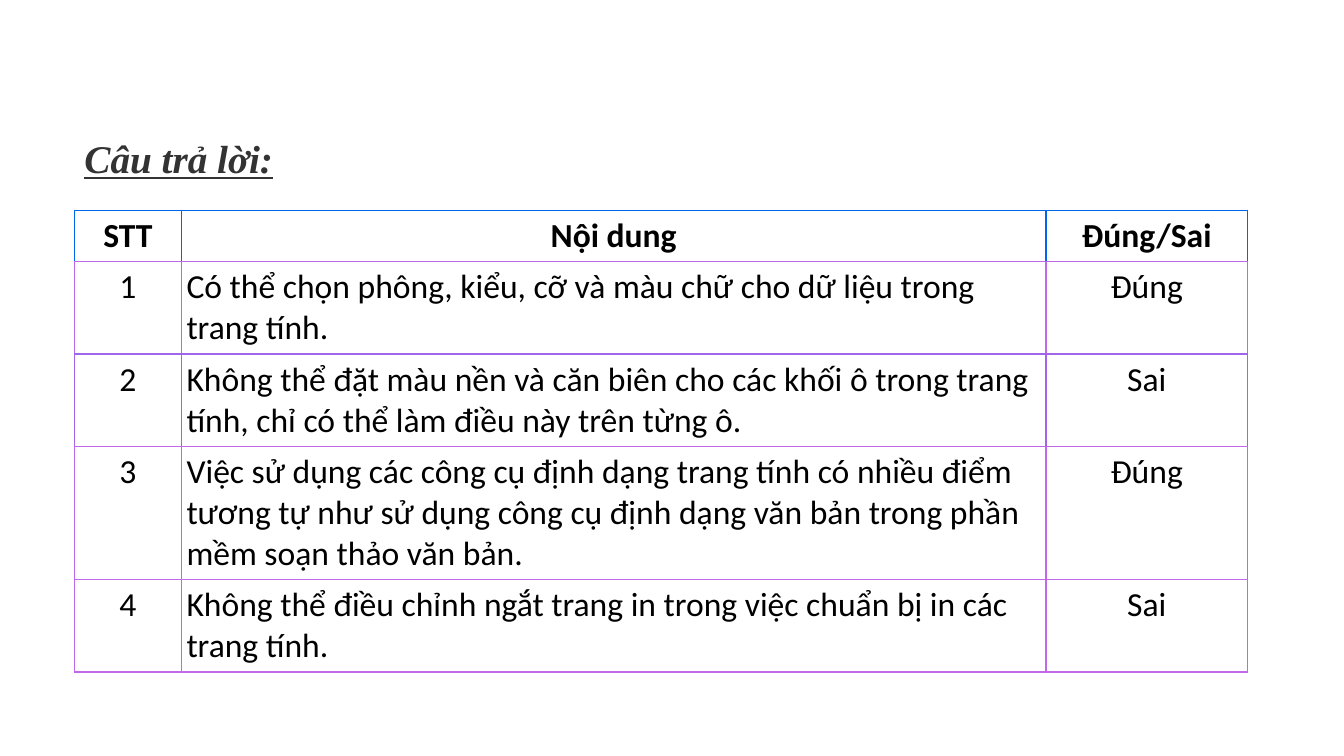
import pptx
import pptx.dml.color
import pptx.enum.shapes
import pptx.enum.text
import pptx.oxml
import pptx.oxml.ns
import pptx.util
from pptx.util import Cm

RGBColor = pptx.dml.color.RGBColor
ALIGN = pptx.enum.text.PP_ALIGN
ANCHOR = pptx.enum.text.MSO_ANCHOR

WHITE = RGBColor(0xFF, 0xFF, 0xFF)
BLACK = RGBColor(0x00, 0x00, 0x00)
CHARCOAL = RGBColor(0x33, 0x33, 0x33)
BLUE = RGBColor(0x00, 0x67, 0xEA)
ORCHID = RGBColor(0xC0, 0x67, 0xEA)
VIOLET = RGBColor(0xA0, 0x65, 0xEA)

HEADER = ("STT", "Nội dung", "Đúng/Sai")
STATEMENTS = (
    ("Có thể chọn phông, kiểu, cỡ và màu chữ cho dữ liệu trong trang tính.", "Đúng"),
    ("Không thể đặt màu nền và căn biên cho các khối ô trong trang tính, "
     "chỉ có thể làm điều này trên từng ô.", "Sai"),
    ("Việc sử dụng các công cụ định dạng trang tính có nhiều điểm tương tự như "
     "sử dụng công cụ định dạng văn bản trong phần mềm soạn thảo văn bản.", "Đúng"),
    ("Không thể điều chỉnh ngắt trang in trong việc chuẩn bị in các trang tính.", "Sai"),
)
COLUMN_WIDTHS = (Cm(2.69), Cm(21.79), Cm(5.08))
ROW_HEIGHTS = (Cm(1.29), Cm(2.3), Cm(2.3), Cm(3.3), Cm(2.3))
# One colour for the sides and top of each row, and one for its bottom.
ROW_BORDERS = ((BLUE, ORCHID), (ORCHID, VIOLET), (VIOLET, ORCHID),
               (ORCHID, ORCHID), (ORCHID, ORCHID))


def write(frame, text, *, font, size, color, bold=False, italic=False,
          underline=False, align=ALIGN.LEFT):
    paragraph = frame.paragraphs[0]
    paragraph.alignment = align
    run = paragraph.add_run()
    run.text = text
    run.font.name = font
    run.font.size = pptx.util.Pt(size)
    run.font.color.rgb = color
    run.font.bold = bold
    run.font.italic = italic
    run.font.underline = underline


class AnswerSlide:
    heading_font = "Times New Roman"
    table_font = "Calibri"
    cell_margin = Cm(0.13)
    border_width = pptx.util.Pt(1)

    def __init__(self, presentation):
        self.slide = presentation.slides.add_slide(presentation.slide_layouts[6])

    def heading(self, text, left, top, width, height):
        box = self.slide.shapes.add_shape(
            pptx.enum.shapes.MSO_SHAPE.RECTANGLE, left, top, width, height)
        box.shadow.inherit = False
        box.fill.solid()
        box.fill.fore_color.rgb = WHITE
        box.line.fill.background()
        box.text_frame.word_wrap = True
        box.text_frame.vertical_anchor = ANCHOR.MIDDLE
        write(box.text_frame, text, font=self.heading_font, size=28,
              color=CHARCOAL, bold=True, italic=True, underline=True)

    def border(self, cell, side, color):
        cell._tc.get_or_add_tcPr().append(pptx.oxml.parse_xml(
            f'<a:ln{side} {pptx.oxml.ns.nsdecls("a")} w="{self.border_width}">'
            f'<a:solidFill><a:srgbClr val="{color}"/></a:solidFill></a:ln{side}>'))

    def cell(self, cell, text, edge, bottom, bold, align):
        cell.margin_left = cell.margin_right = self.cell_margin
        cell.margin_top = cell.margin_bottom = self.cell_margin
        cell.vertical_anchor = ANCHOR.TOP
        for side, color in (("L", edge), ("R", edge), ("T", edge), ("B", bottom)):
            self.border(cell, side, color)
        cell.fill.solid()
        cell.fill.fore_color.rgb = WHITE
        write(cell.text_frame, text, font=self.table_font, size=24,
              color=BLACK, bold=bold, align=align)

    def table(self, rows, left, top):
        answers = self.slide.shapes.add_table(
            len(rows), len(COLUMN_WIDTHS), left, top,
            sum(COLUMN_WIDTHS), sum(ROW_HEIGHTS)).table
        answers.first_row = answers.horz_banding = False
        for column, width in zip(answers.columns, COLUMN_WIDTHS):
            column.width = width
        for r, (texts, height, borders) in enumerate(zip(rows, ROW_HEIGHTS, ROW_BORDERS)):
            answers.rows[r].height = height
            for c, text in enumerate(texts):
                is_statement = r > 0 and c == 1
                self.cell(answers.cell(r, c), text, *borders, bold=r == 0,
                          align=ALIGN.LEFT if is_statement else ALIGN.CENTER)


def main():
    presentation = pptx.Presentation()
    presentation.slide_width = Cm(33.87)
    presentation.slide_height = Cm(19.05)
    answer_slide = AnswerSlide(presentation)
    numbered = [(str(n), *row) for n, row in enumerate(STATEMENTS, 1)]
    answer_slide.table([HEADER, *numbered], Cm(1.88), Cm(5.3))
    answer_slide.heading("Câu trả lời:", Cm(1.88), Cm(3.25), Cm(13.56), Cm(1.45))
    presentation.save("out.pptx")


if __name__ == "__main__":
    main()
